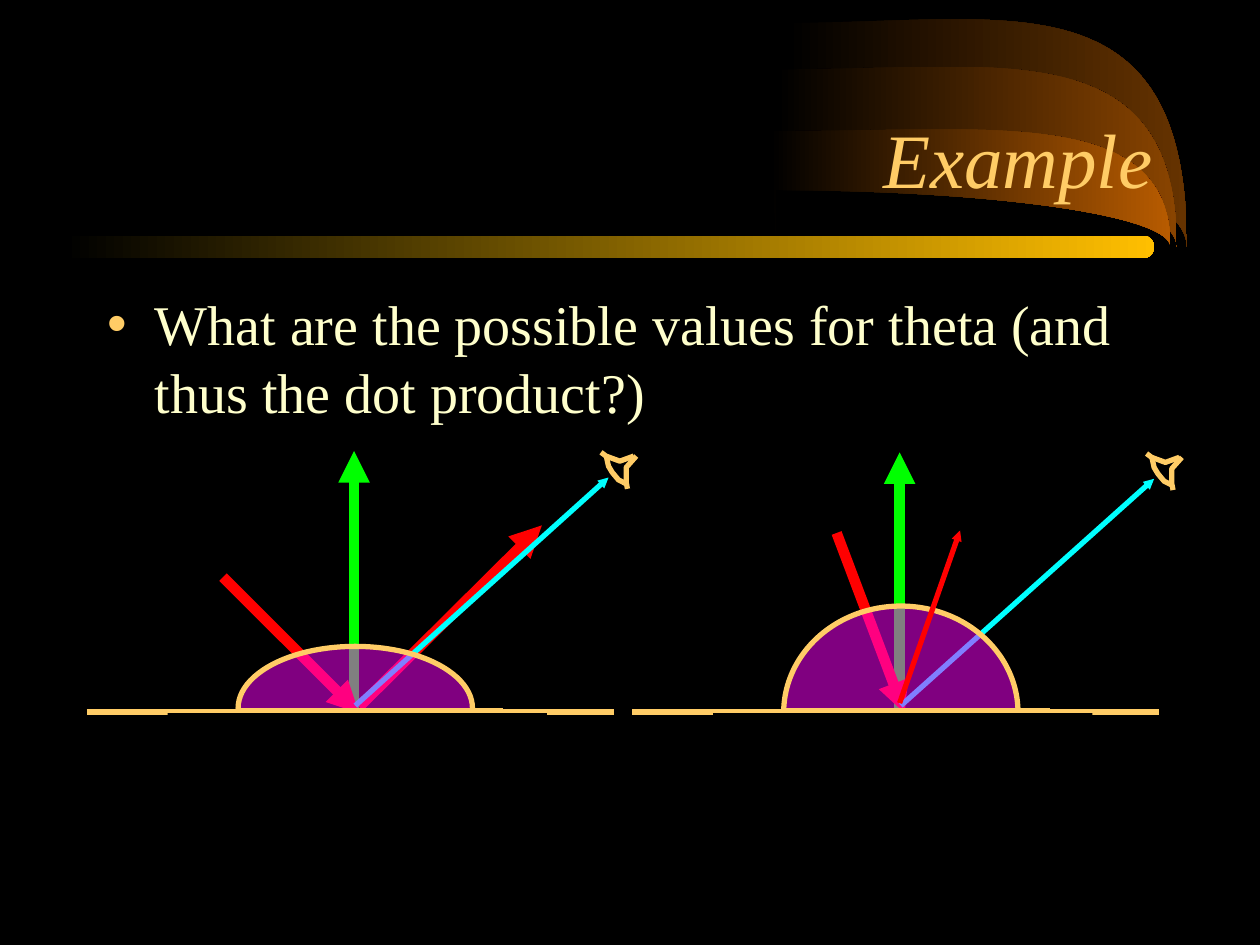
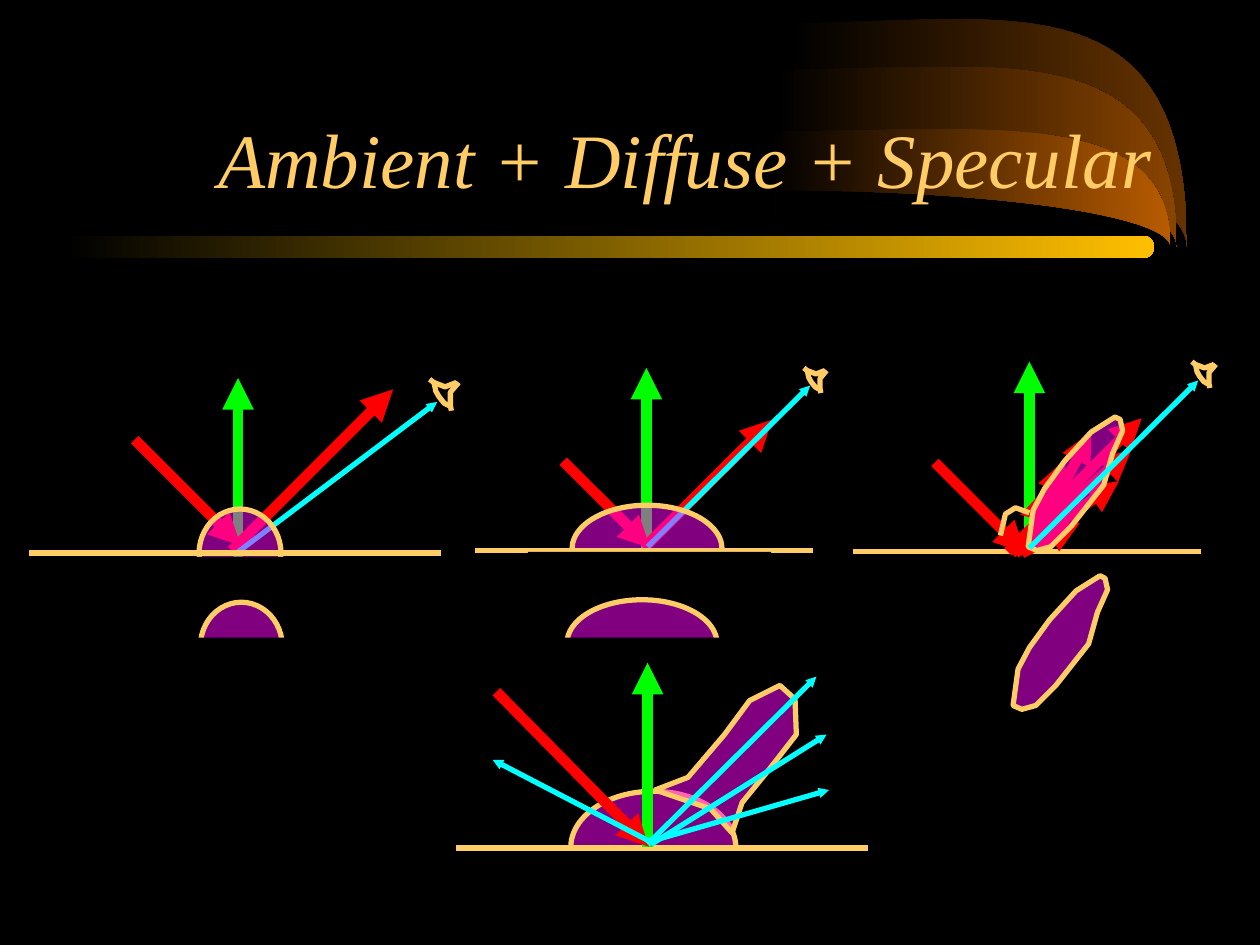
from dataclasses import dataclass

from lxml import etree
from pptx import Presentation
from pptx.dml.color import RGBColor
from pptx.enum.shapes import MSO_CONNECTOR, MSO_SHAPE
from pptx.enum.text import MSO_ANCHOR, MSO_AUTO_SIZE, PP_ALIGN
from pptx.oxml.ns import qn
from pptx.util import Inches, Pt

STRAIGHT = MSO_CONNECTOR.STRAIGHT
ELLIPSE = MSO_SHAPE.OVAL
RECTANGLE = MSO_SHAPE.RECTANGLE
ROUNDED = MSO_SHAPE.ROUNDED_RECTANGLE
BOTTOM = MSO_ANCHOR.BOTTOM
TOP = MSO_ANCHOR.TOP
LEFT = PP_ALIGN.LEFT
RIGHT = PP_ALIGN.RIGHT
NO_AUTOFIT = MSO_AUTO_SIZE.NONE
TITLE_AND_BODY = 1
TITLE_ONLY = 5


@dataclass(frozen=True)
class Theme:
    font: str = "Times New Roman"
    title_size: int = 44
    body_size: int = 32
    thin: int = 3
    thick: int = 6
    background: str = "000000"
    outline: str = "FFCC66"
    body: str = "FFFFCC"
    normal: str = "00FF00"
    light: str = "FF0000"
    view: str = "00FFFF"
    lobe: str = "FF00FF"
    lobe_opacity: int = 50
    bar: str = "FFBF00"


SWOOSHES = [
    (6.24, 0.18, 1.09, 1.75, "663300"),
    (6.16, 0.55, 1.27, 1.39, "894400"),
    (6.11, 1.04, 1.51, 0.91, "B75B00"),
]
SWOOSH_WIDTH = 3.18
SWOOSH_TIP = 1.96
EYE_WIDTH, EYE_HEIGHT = 0.28, 0.29
EYE_STROKES = [
    [(0.28, 0.03), (0.2, 0.12), (0.2, 0.24), (0.21, 0.29)],
    [(0.26, 0.03), (0.15, 0.07), (0.04, 0.03), (0, 0)],
    [(0.2, 0.25), (0.14, 0.22), (0.09, 0.16), (0.06, 0.11), (0.04, 0.02)],
]
SPECULAR_LOBE = [
    (0, 1.03), (0.04, 0.74), (0.13, 0.57), (0.29, 0.35), (0.5, 0.12),
    (0.69, 0), (0.73, 0.02), (0.75, 0.11), (0.67, 0.29), (0.6, 0.54),
    (0.34, 0.87), (0.18, 1.03), (0.07, 1.06),
]
COMBINED_LOBE = [
    (5.2, 6.27), (5.46, 6.17), (5.75, 5.83), (5.95, 5.56), (6.19, 5.44),
    (6.31, 5.55), (6.32, 5.83), (6.11, 6.1), (5.89, 6.37), (5.81, 6.61),
    (5.64, 6.42),
]


def shift(points, left, top):
    return [(left + x, top + y) for x, y in points]


class Deck:
    def __init__(self, theme):
        self.theme = theme
        self.slide = None
        self.presentation = Presentation()
        self.presentation.slide_width = Inches(10)
        self.presentation.slide_height = Inches(7.5)
        fill = self.presentation.slide_master.background.fill
        fill.solid()
        fill.fore_color.rgb = RGBColor.from_string(theme.background)

    def add_slide(self, title, layout):
        first = self.slide is None
        self.slide = self.presentation.slides.add_slide(
            self.presentation.slide_layouts[layout])
        if first:
            self.master_band()
        paragraph = self.placeholder(
            self.slide.shapes.title, (0.75, 0.42, 8.5, 1.25), title,
            self.theme.title_size, self.theme.outline, BOTTOM, RIGHT)
        paragraph.font.italic = True

    def master_band(self):
        band = [self.swoosh(*swoosh) for swoosh in SWOOSHES]
        bar = self.shape(ROUNDED, (0.5, 1.87, 8.66, 0.18))
        bar.adjustments[0] = 0.5
        self.gradient(bar, self.theme.bar)
        master_tree = self.presentation.slide_master.shapes.element
        for index, shape in enumerate([*band, bar]):
            shape.element.nvSpPr.cNvPr.set("id", str(100 + index))
            master_tree.insert(2 + index, shape.element)

    def placeholder(self, shape, box, text, size, color, anchor, alignment):
        shape.element.getparent().append(shape.element)
        shape.left, shape.top, shape.width, shape.height = map(Inches, box)
        frame = shape.text_frame
        frame.text = text
        frame.auto_size = NO_AUTOFIT
        frame.word_wrap = True
        frame.vertical_anchor = anchor
        paragraph = frame.paragraphs[0]
        paragraph.alignment = alignment
        paragraph.font.name = self.theme.font
        paragraph.font.size = Pt(size)
        paragraph.font.color.rgb = RGBColor.from_string(color)
        return paragraph

    def body(self, text):
        paragraph = self.placeholder(
            self.slide.placeholders[1], (0.75, 2.25, 8.5, 4.5), text,
            self.theme.body_size, self.theme.body, TOP, LEFT)
        paragraph.space_before = Pt(8)
        properties = paragraph._p.get_or_add_pPr()
        properties.set("marL", str(Inches(0.38)))
        properties.set("indent", str(-Inches(0.38)))
        bullet_color = etree.Element(qn("a:buClr"))
        etree.SubElement(bullet_color, qn("a:srgbClr"), val=self.theme.outline)
        properties.find(qn("a:spcBef")).addnext(bullet_color)
        bullet_color.addnext(etree.Element(qn("a:buChar"), char="•"))

    def gradient(self, shape, color):
        shape.fill.gradient()
        shape.fill.gradient_angle = 0
        colors = (self.theme.background, color)
        for position, stop in enumerate(shape.fill.gradient_stops):
            stop.color.rgb = RGBColor.from_string(colors[position])
            stop.position = position

    def shape(self, kind, box):
        shape = self.slide.shapes.add_shape(kind, *map(Inches, box))
        shape.shadow.inherit = False
        shape.line.fill.background()
        return shape

    def freeform(self, points, closed):
        corners = [(Inches(x), Inches(y)) for x, y in points]
        builder = self.slide.shapes.build_freeform(*corners[0], scale=1.0)
        builder.add_line_segments(corners[1:], close=closed)
        shape = builder.convert_to_shape()
        shape.shadow.inherit = False
        return shape

    def swoosh(self, left, top, bottom, height, color):
        right = left + SWOOSH_WIDTH
        shape = self.freeform(
            [(left, bottom), (right, bottom), (right, bottom + height)], True)
        start, middle = left + 0.05, left + 1.78
        bend = 0.45 * (SWOOSH_TIP - bottom)
        tip = (right, SWOOSH_TIP)
        segments = [
            ("a:moveTo", [(start, bottom)]),
            ("a:cubicBezTo", [(middle, bottom), (right, bottom + bend), tip]),
            ("a:cubicBezTo", [(right, top - bend), (middle, top), (start, top)]),
            ("a:lnTo", [(left, top)]),
            ("a:lnTo", [(start, SWOOSH_TIP)]),
            ("a:close", []),
        ]
        outline = next(shape.element.iter(qn("a:path")))
        for segment in list(outline):
            outline.remove(segment)
        for tag, points in segments:
            segment = etree.SubElement(outline, qn(tag))
            for x, y in points:
                etree.SubElement(segment, qn("a:pt"), x=str(Inches(x - left)),
                                 y=str(Inches(y - bottom)))
        shape.line.fill.background()
        self.gradient(shape, color)
        return shape

    def stroke(self, line, color, width):
        line.color.rgb = RGBColor.from_string(color)
        line.width = Pt(width)

    def line(self, start, end, color, width, arrow=None):
        connector = self.slide.shapes.add_connector(
            STRAIGHT, *map(Inches, (*start, *end)))
        self.stroke(connector.line, color, width)
        if arrow:
            etree.SubElement(connector.line._get_or_add_ln(), qn("a:tailEnd"),
                             type="triangle", w=arrow, len=arrow)
        etree.SubElement(connector.element.spPr, qn("a:effectLst"))

    def ground(self, left, right, y):
        self.line((left, y), (right, y), self.theme.outline, self.theme.thin)

    def normal(self, x, bottom, top):
        self.line((x, bottom), (x, top), self.theme.normal, self.theme.thick, "med")

    def light(self, start, end):
        self.line(start, end, self.theme.light, self.theme.thick, "med")

    def view(self, start, end):
        self.line(start, end, self.theme.view, self.theme.thin, "sm")

    def curve(self, points):
        shape = self.freeform(points, False)
        shape.fill.background()
        self.stroke(shape.line, self.theme.outline, self.theme.thin)

    def eye(self, left, top, width, height):
        for points in EYE_STROKES:
            self.curve([(left + x * width / EYE_WIDTH, top + y * height / EYE_HEIGHT)
                        for x, y in points])

    def paint_lobe(self, shape):
        shape.fill.solid()
        shape.fill.fore_color.rgb = RGBColor.from_string(self.theme.lobe)
        color = shape.element.spPr.find(qn("a:solidFill")).find(qn("a:srgbClr"))
        etree.SubElement(color, qn("a:alpha"), val=str(self.theme.lobe_opacity * 1000))
        self.stroke(shape.line, self.theme.outline, self.theme.thin)

    def lobe(self, points):
        self.paint_lobe(self.freeform(points, True))

    def dome(self, ellipse, mask, base=None):
        self.paint_lobe(self.shape(ELLIPSE, ellipse))
        if base:
            self.ground(*base)
        cover = self.shape(RECTANGLE, mask)
        cover.fill.solid()
        cover.fill.fore_color.rgb = RGBColor.from_string(self.theme.background)

    def diagram(self, ground, normal, lights, view, eye, dome):
        self.ground(*ground)
        self.normal(*normal)
        for ray in lights:
            self.light(*ray)
        self.view(*view)
        self.eye(*eye)
        self.dome(*dome)


def build_example(deck):
    deck.add_slide("Example", TITLE_AND_BODY)
    deck.diagram(
        ground=(0.69, 4.87, 5.65), normal=(2.81, 5.65, 3.58),
        lights=[((1.77, 4.58), (2.85, 5.66)), ((2.85, 5.61), (4.3, 4.17))],
        view=((2.82, 5.6), (4.83, 3.79)), eye=(4.77, 3.59, 0.28, 0.29),
        dome=((1.89, 5.13, 1.86, 0.98), (1.33, 5.66, 3.01, 0.49), (1.88, 3.99, 5.64)))
    deck.diagram(
        ground=(5.02, 9.2, 5.65), normal=(7.14, 5.65, 3.59),
        lights=[((6.64, 4.23), (7.18, 5.66))],
        view=((7.15, 5.6), (9.16, 3.8)), eye=(9.1, 3.6, 0.28, 0.29),
        dome=((6.22, 4.81, 1.86, 1.69), (5.66, 5.66, 3.01, 1.05), (6.21, 8.33, 5.64)))
    deck.line((7.14, 5.58), (7.62, 4.21), deck.theme.light, deck.theme.thin, "sm")
    deck.body("What are the possible values for theta (and thus the dot product?)")


def build_sum(deck):
    deck.add_slide("Ambient + Diffuse + Specular", TITLE_ONLY)
    deck.diagram(
        ground=(0.23, 3.5, 4.39), normal=(1.89, 4.84, 3),
        lights=[((1.07, 3.49), (1.91, 4.33)), ((1.84, 4.37), (3.12, 3.09))],
        view=((1.89, 4.38), (3.47, 3.19)), eye=(3.41, 3.01, 0.23, 0.25),
        dome=((1.58, 4.04, 0.65, 0.7), (0.61, 4.42, 2.35, 0.43), (1.13, 2.78, 4.39)))

    deck.ground(6.77, 9.53, 4.38)
    deck.normal(8.17, 4.38, 2.87)
    specular_rays = [
        ((7.42, 3.67), (8.14, 4.39)), ((8, 4.38), (9.06, 3.32)),
        ((8.03, 4.39), (8.98, 3.57)), ((8.06, 4.39), (8.88, 3.82)),
        ((8.11, 4.39), (8.57, 4.15)), ((8.17, 4.37), (8.66, 3.43)),
        ((8.16, 4.38), (8.45, 3.65)), ((8.15, 4.36), (8.29, 3.88)),
    ]
    for ray in specular_rays:
        deck.light(*ray)
    deck.lobe(shift(SPECULAR_LOBE, 8.16, 3.31))
    deck.view((8.17, 4.35), (9.51, 3.02))
    deck.eye(9.46, 2.87, 0.19, 0.21)
    deck.curve([(7.94, 4.25), (7.98, 4.08), (8.06, 4.03), (8.17, 4.07)])

    deck.diagram(
        ground=(3.77, 6.45, 4.37), normal=(5.13, 4.37, 2.92),
        lights=[((4.47, 3.66), (5.16, 4.35)), ((5.11, 4.35), (6.13, 3.33))],
        view=((5.14, 4.34), (6.43, 3.06)), eye=(6.38, 2.92, 0.18, 0.2),
        dome=((4.54, 4.01, 1.19, 0.69), (4.19, 4.38, 1.93, 0.35), (4.53, 5.89, 4.37)))

    deck.dome((1.59, 4.78, 0.65, 0.7), (0.63, 5.06, 2.35, 0.62))
    deck.dome((4.5, 4.76, 1.19, 0.69), (4.13, 5.06, 1.93, 0.45))
    deck.lobe(shift(SPECULAR_LOBE, 8.04, 4.57))

    deck.dome((4.53, 6.28, 1.31, 0.89), (4.23, 6.74, 1.93, 0.76))
    deck.lobe(COMBINED_LOBE)
    deck.ground(3.62, 6.89, 6.73)
    deck.normal(5.14, 6.72, 5.26)
    deck.light((3.94, 5.49), (5.15, 6.72))
    for start, end in [
        ((5.14, 6.7), (6.48, 5.37)), ((5.17, 6.7), (6.56, 5.83)),
        ((5.19, 6.67), (6.58, 6.27)), ((5.18, 6.69), (3.91, 6.03)),
    ]:
        deck.view(start, end)


def main():
    deck = Deck(Theme())
    build_example(deck)
    build_sum(deck)
    deck.presentation.save("out.pptx")


if __name__ == "__main__":
    main()
